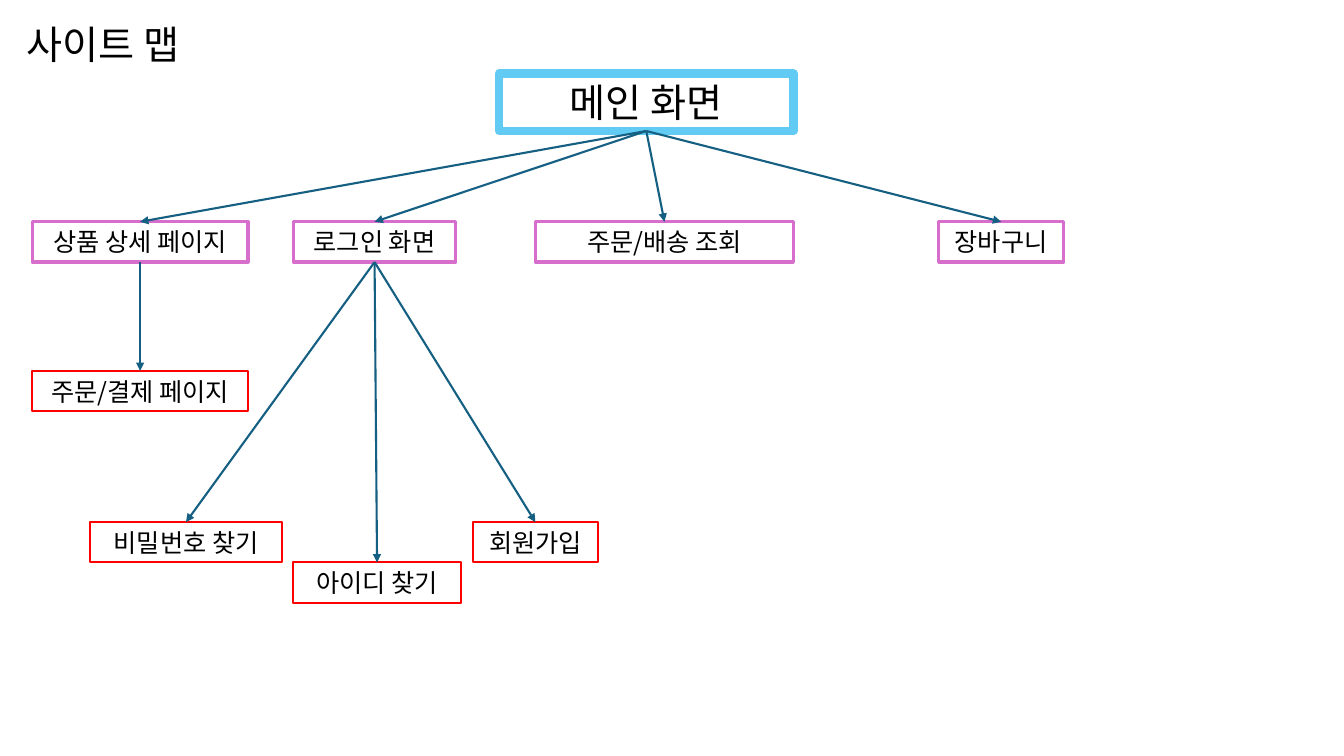
from lxml import etree
from pptx import Presentation
from pptx.dml.color import RGBColor
from pptx.enum import shapes, text
from pptx.oxml import ns
from pptx.util import Inches, Pt

FONT = "Noto Sans CJK KR"
BLACK = RGBColor(0x00, 0x00, 0x00)
SKY = RGBColor(0x61, 0xCB, 0xF4)
ORCHID = RGBColor(0xD8, 0x6E, 0xCC)
RED = RGBColor(0xFF, 0x00, 0x00)
TEAL = RGBColor(0x15, 0x60, 0x82)


def write(sp, words, size=18, align=text.PP_ALIGN.CENTER):
    tf = sp.text_frame
    tf.word_wrap = True
    tf.auto_size = text.MSO_AUTO_SIZE.NONE
    tf.vertical_anchor = text.MSO_ANCHOR.MIDDLE
    tf.margin_top = tf.margin_bottom = 0
    p = tf.paragraphs[0]
    p.alignment = align
    p.line_spacing = 1.0
    r = p.add_run()
    r.text = words
    r.font.size = Pt(size)
    r.font.name = FONT
    r.font.color.rgb = BLACK
    # Hangul takes its typeface from the East Asian slot
    etree.SubElement(r.font._element, ns.qn("a:ea"), typeface=FONT)


prs = Presentation()
prs.slide_width, prs.slide_height = Inches(13.33), Inches(7.5)
s = prs.slides.add_slide(prs.slide_layouts[5])

title = s.shapes.title
title.left, title.top = Inches(0.16), Inches(0.15)
title.width, title.height = Inches(2.92), Inches(0.57)
write(title, "사이트 맵", size=28, align=text.PP_ALIGN.LEFT)

# Levels: height, text size, line colour, line width
MAIN = (0.57, 28, SKY, 6)
PAGE = (0.4, 18, ORCHID, 2.25)
SUBPAGE = (0.4, 18, RED, 1.5)

# Label, parent, left, top, width, level
pages = [
    ("메인 화면", None, 4.95, 0.73, 2.92, MAIN),
    ("상품 상세 페이지", "메인 화면", 0.32, 2.2, 2.14, PAGE),
    ("로그인 화면", "메인 화면", 2.91, 2.2, 1.61, PAGE),
    ("주문/배송 조회", "메인 화면", 5.31, 2.2, 2.56, PAGE),
    ("장바구니", "메인 화면", 9.31, 2.2, 1.24, PAGE),
    ("주문/결제 페이지", "상품 상세 페이지", 0.32, 3.68, 2.14, SUBPAGE),
    ("비밀번호 찾기", "로그인 화면", 0.89, 5.18, 1.91, SUBPAGE),
    ("아이디 찾기", "로그인 화면", 2.91, 5.58, 1.66, SUBPAGE),
    ("회원가입", "로그인 화면", 4.69, 5.18, 1.24, SUBPAGE),
]

boxes = {}
for label, parent, left, top, width, (height, size, color, weight) in pages:
    sp = s.shapes.add_shape(shapes.MSO_SHAPE.RECTANGLE, Inches(left),
                            Inches(top), Inches(width), Inches(height))
    sp.shadow.inherit = False
    sp.fill.background()
    sp.line.color.rgb = color
    sp.line.width = Pt(weight)
    write(sp, label, size=size)
    boxes[label] = sp

# Arrows run from the bottom of a parent to the top of its child
for label, parent, *_ in pages:
    if parent is None:
        continue
    cn = s.shapes.add_connector(shapes.MSO_CONNECTOR.STRAIGHT, 0, 0, 0, 0)
    cn.begin_connect(boxes[parent], 2)
    cn.end_connect(boxes[label], 0)
    cn.line.color.rgb = TEAL
    cn.line.width = Pt(1.5)
    etree.SubElement(cn.line._get_or_add_ln(), ns.qn("a:tailEnd"), type="triangle")
    etree.SubElement(cn._element.spPr, ns.qn("a:effectLst"))

prs.save("out.pptx")
